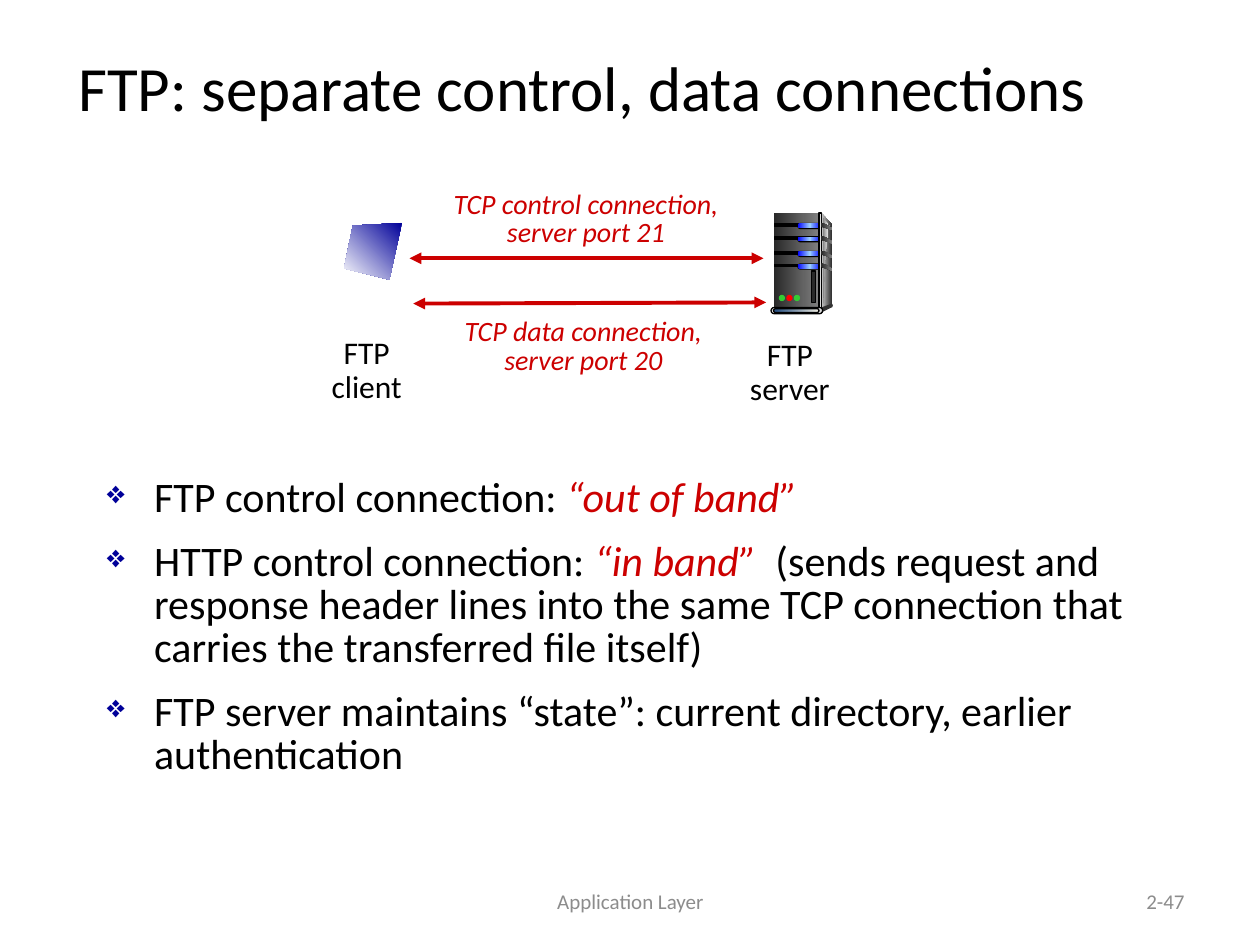
from copy import deepcopy

from lxml.etree import SubElement
from pptx import Presentation
from pptx.dml.color import RGBColor
from pptx.enum.shapes import MSO_CONNECTOR, MSO_SHAPE
from pptx.enum.text import MSO_ANCHOR, PP_ALIGN
from pptx.oxml.ns import qn
from pptx.util import Pt

C = {
    "text": "000000", "accent": "CC0000", "bullet": "000099", "footer": "8C8C8C",
    "black": "000000", "coal": "292929", "dark": "333333", "mid": "808080",
    "light": "DDDDDD", "pale": "F8F8F8", "white": "FFFFFF", "blue": "0000FF",
    "sky": "99CCFF", "green": "33CC33", "red": "FF0000", "navy": "1F497D",
    "cream": "EEECE1",
}
FONT = "Calibri"
CENTER, RIGHT = PP_ALIGN.CENTER, PP_ALIGN.RIGHT
RECT, PILL, OVAL = MSO_SHAPE.RECTANGLE, MSO_SHAPE.ROUNDED_RECTANGLE, MSO_SHAPE.OVAL

# Each paragraph is a list of (text, emphasised) runs
TITLE = "FTP: separate control, data connections"
BULLETS = [
    [("FTP control connection: ", False), ("“out of band”", True)],
    [("HTTP control connection:", False), (" “in band”  ", True),
     ("(sends request and response header lines into the same TCP connection "
      "that carries the transferred file itself)", False)],
    [("FTP server maintains “state”: current directory, earlier authentication", False)],
]
FOOTERS = [("Application Layer", (246.2, 500.4, 228.2, 28.8), CENTER),
           ("2-47", (516.2, 500.4, 167.8, 28.8), RIGHT)]
HOSTS = [(["FTP", "client"], (181.4, 189.4, 56.2, 46.1)),
         (["FTP", "server"], (419, 190.1, 64.8, 46.1))]
LABELS = [(["TCP control connection,", "server port 21"], (239.8, 105.8, 190.1, 40.3)),
          (["TCP data connection,", "server port 20"], (238.3, 178.6, 190.1, 40.3))]
LINKS = [(234, 147.6, 436.3, 147.6), (236.2, 173.5, 437.8, 172.8)]

SCREEN = [(229.7, 127.4), (201.6, 128.9), (196.6, 153.4), (222.5, 159.8)]
SIDE = [(469.4, 121.7), (475.2, 128.2), (475.2, 174.2), (468.7, 176.4)]
SIDE_SHINE = [(470.2, 124.6), (473.8, 128.9), (471.6, 145), (470.2, 175)]
SIDE_FOOT = [(469.4, 175.7), (469.4, 178.6), (475.2, 175.7), (475.2, 173.5)]
VENT = [(0, 0), (2.5, 0.8), (6, 2.9), (6, 4.3), (3, 3), (0, 2.2)]
DRIVE_TOPS = [127.4, 134.9, 143.3, 150.5]
LIGHTS = ["green", "red", "green"]


def rgb(name):
    return RGBColor.from_string(C[name])


def add_text(s, paras, box, size, color="text", align=None, anchor=MSO_ANCHOR.TOP,
             spacing=None, italic=False, wrap=True, bullet=None, gap=0):
    """Paragraphs are strings or lists of (text, emphasised) runs."""
    tf = s.shapes.add_textbox(*map(Pt, box)).text_frame
    tf.word_wrap = wrap
    tf.vertical_anchor = anchor
    for i, runs in enumerate(paras):
        p = tf.add_paragraph() if i else tf.paragraphs[0]
        if bullet:
            pPr = p._p.get_or_add_pPr()
            pPr.set("marL", str(Pt(27)))
            pPr.set("indent", str(Pt(-27)))
            SubElement(SubElement(pPr, qn("a:buClr")), qn("a:srgbClr"), val=C["bullet"])
            SubElement(pPr, qn("a:buSzPct"), val="75000")
            SubElement(pPr, qn("a:buChar"), char=bullet)
        p.alignment = align
        p.line_spacing = spacing
        p.space_before = Pt(gap if i else 0)
        p.space_after = Pt(gap)
        for text, strong in ([(runs, False)] if isinstance(runs, str) else runs):
            r = p.add_run()
            r.text = text
            r.font.name, r.font.size = FONT, Pt(size)
            r.font.italic = italic or strong
            r.font.color.rgb = rgb("accent" if strong else color)


def paint(sp, colors, line=False, angle=0):
    """One colour gives a solid fill, several give evenly spaced gradient stops."""
    sp.shadow.inherit = False
    names = colors.split()
    if len(names) == 1:
        sp.fill.solid()
        sp.fill.fore_color.rgb = rgb(names[0])
    else:
        sp.fill.gradient()
        sp.fill.gradient_angle = angle
        stops = sp._element.spPr.find(qn("a:gradFill")).find(qn("a:gsLst"))
        while len(stops) < len(names):
            stops.append(deepcopy(stops[0]))
        for i, (stop, name) in enumerate(zip(sp.fill.gradient_stops, names)):
            stop.position = i / (len(names) - 1)
            stop.color.rgb = rgb(name)
    if line:
        sp.line.color.rgb = rgb("black")
        sp.line.width = Pt(0.75)
    else:
        sp.line.fill.background()


def add_part(s, kind, box, colors, line=False):
    sp = s.shapes.add_shape(kind, *map(Pt, box))
    if kind == PILL:
        sp.adjustments[0] = 0.5
    paint(sp, colors, line)


def add_outline(s, points, colors, angle=0):
    pts = [(Pt(x), Pt(y)) for x, y in points]
    fb = s.shapes.build_freeform(*pts[0])
    fb.add_line_segments(pts[1:], close=True)
    paint(fb.convert_to_shape(), colors, angle=angle)


def add_link(s, ends):
    cx = s.shapes.add_connector(MSO_CONNECTOR.STRAIGHT, *map(Pt, ends))
    cx.line.color.rgb = rgb("accent")
    cx.line.width = Pt(2.25)
    ln = cx.line._get_or_add_ln()
    for end in ("a:headEnd", "a:tailEnd"):
        SubElement(ln, qn(end), type="triangle")
    SubElement(cx._element.spPr, qn("a:effectLst"))


def add_server(s):
    add_outline(s, SIDE, "light dark")
    add_part(s, RECT, (442.1, 121.7, 25.9, 54.7), "coal mid")
    add_outline(s, SIDE_SHINE, "mid pale")
    for top in DRIVE_TOPS:
        add_part(s, RECT, (442.8, top + 0.6, 14.4, 1.4), "black", line=True)
        add_part(s, PILL, (455.6, top, 14.4, 3.6), "black")
        add_part(s, PILL, (455.8, top + 0.3, 13.7, 2.7), "blue sky blue")
    add_part(s, RECT, (468, 121.7, 1.6, 54.7), "dark light dark", line=True)
    for top in DRIVE_TOPS:
        add_outline(s, [(469.3 + x, top + y) for x, y in VENT], "coal mid")
    add_part(s, OVAL, (474.5, 173.5, 1.4, 2.2), "dark")
    add_outline(s, SIDE_FOOT, "dark")
    add_part(s, PILL, (440.6, 175.7, 29.5, 3.6), "light", line=True)
    add_part(s, PILL, (442.1, 176.4, 25.9, 2.2), "navy cream", line=True)
    for i, color in enumerate(LIGHTS):
        add_part(s, OVAL, (445 + 4.3 * i, 168.5, 3.6, 3.6), color)
    add_part(s, RECT, (463.7, 154.8, 2.2, 18), "coal", line=True)


def main():
    prs = Presentation()
    prs.slide_width, prs.slide_height = Pt(720), Pt(540)
    s = prs.slides.add_slide(prs.slide_layouts[6])
    for text, box, align in FOOTERS:
        add_text(s, [text], box, 12, "footer", align, MSO_ANCHOR.MIDDLE)
    add_text(s, [TITLE], (26.6, 13, 612, 72.7), 36, align=CENTER, anchor=MSO_ANCHOR.MIDDLE)
    for lines, box in HOSTS:
        add_text(s, lines, box, 18, align=CENTER, spacing=0.9, wrap=False)
    for ends in LINKS:
        add_link(s, ends)
    for lines, box in LABELS:
        add_text(s, lines, box, 16, "accent", CENTER, spacing=0.85, italic=True)
    add_text(s, BULLETS, (54, 270, 636.5, 231.1), 24, spacing=0.85, bullet="❖", gap=6)
    add_server(s)
    add_outline(s, SCREEN, "bullet white", angle=225)
    prs.save("out.pptx")


if __name__ == "__main__":
    main()
